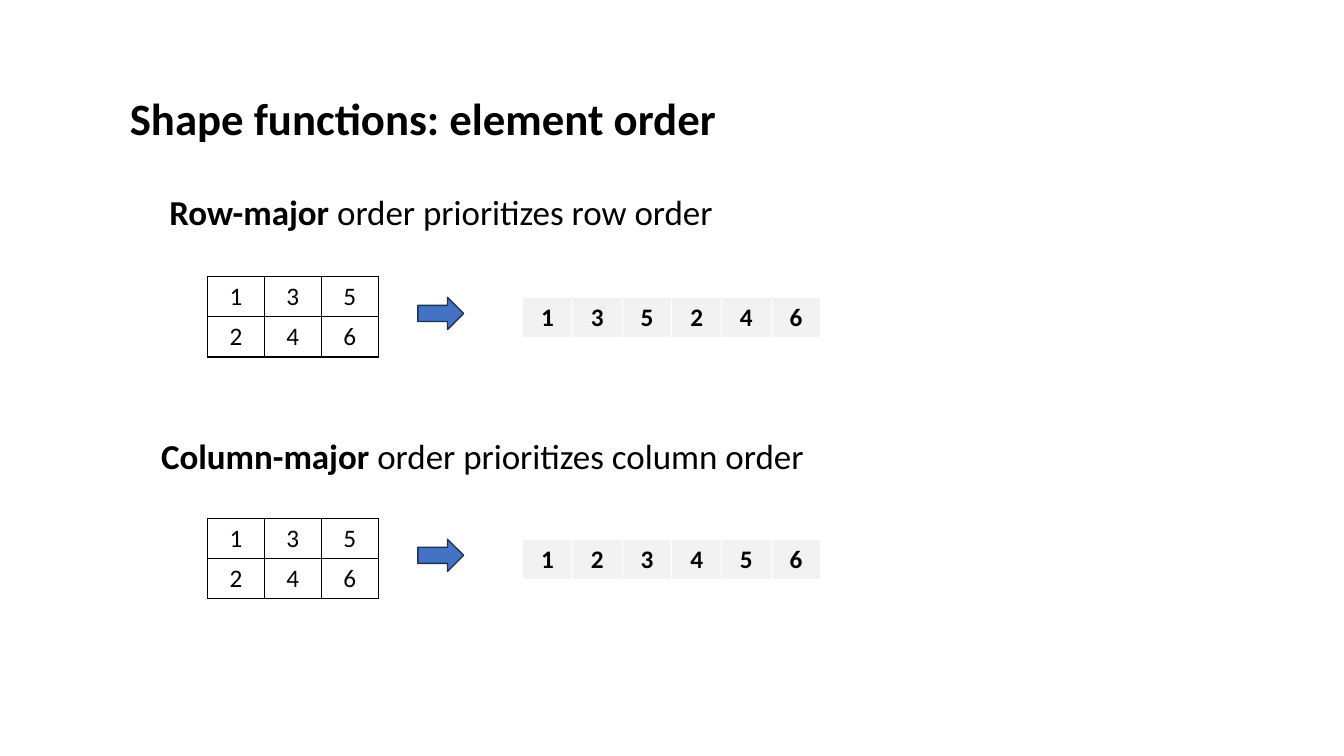
from pptx import Presentation
from pptx import util as u
from pptx.dml import color
from pptx.enum import shapes, text
from pptx.oxml import parse_xml
from pptx.oxml import ns

theme = {
    "font": "Calibri",
    "ink": "000000",
    "arrow": "4472C4",
    "arrow_line": "1E3256",
    "strip": "F2F2F2",
    "strip_line": "FFFFFF",
    "title_size": 32,
    "heading_size": 25,
    "cell_size": 18,
}


def add_span(para, words, size, bold=False):
    span = para.add_run()
    span.text = words
    span.font.name = theme["font"]
    span.font.size = u.Pt(size)
    span.font.bold = bold
    span.font.color.rgb = color.RGBColor.from_string(theme["ink"])


def add_grid(page, rows, left, top, col_width, row_height, line, bottom_width=1, fill=None, bold=False):
    columns = len(rows[0])
    frame = page.shapes.add_table(
        len(rows), columns, u.Pt(left), u.Pt(top),
        u.Pt(col_width * columns), u.Pt(row_height * len(rows)))
    table = frame.table
    table.first_row = False
    table.horz_banding = False
    for column in table.columns:
        column.width = u.Pt(col_width)
    for r, row in enumerate(rows):
        for c, value in enumerate(row):
            cell = table.cell(r, c)
            cell.vertical_anchor = text.MSO_ANCHOR.MIDDLE
            para = cell.text_frame.paragraphs[0]
            para.alignment = text.PP_ALIGN.CENTER
            add_span(para, str(value), theme["cell_size"], bold)
            properties = cell._tc.get_or_add_tcPr()
            for side, width in (("L", 1), ("R", 1), ("T", 1), ("B", bottom_width)):
                properties.append(parse_xml(
                    f'<a:ln{side} {ns.nsdecls("a")} w="{u.Pt(width)}"><a:solidFill>'
                    f'<a:srgbClr val="{line}"/></a:solidFill></a:ln{side}>'))
            if fill:
                cell.fill.solid()
                cell.fill.fore_color.rgb = color.RGBColor.from_string(fill)
            else:
                cell.fill.background()


deck = Presentation()
deck.slide_width, deck.slide_height = u.Pt(960), u.Pt(540)
page = deck.slides.add_slide(deck.slide_layouts[6])

matrix = [[1, 3, 5], [2, 4, 6]]
row_order = [value for row in matrix for value in row]
column_order = [value for column in zip(*matrix) for value in column]

text_lines = [
    (85.7, 64.8, 748, 43.2, 7.2, theme["title_size"], [("Shape functions: element order", True)]),
    (108, 132.5, 480, 37.5, 13, theme["heading_size"],
     [("Row-major", True), (" order prioritizes row order", False)]),
    (108, 306.7, 480, 37.5, 7.2, theme["heading_size"],
     [("Column-major", True), (" order prioritizes column order", False)]),
]
for left, top, width, height, inset, size, spans in text_lines:
    box = page.shapes.add_textbox(u.Pt(left), u.Pt(top), u.Pt(width), u.Pt(height))
    frame = box.text_frame
    frame.word_wrap = True
    frame.margin_left = u.Pt(inset)
    frame.vertical_anchor = text.MSO_ANCHOR.MIDDLE
    para = frame.paragraphs[0]
    if size == theme["title_size"]:
        para.line_spacing = 0.9
    for words, bold in spans:
        add_span(para, words, size, bold)

example_step = 172.8
for index, order in enumerate((row_order, column_order)):
    offset = index * example_step
    add_grid(page, matrix, 148.3, 197.3 + offset, 40.6, 28.8, theme["ink"])

    arrow = page.shapes.add_shape(
        shapes.MSO_SHAPE.RIGHT_ARROW, u.Pt(298.5), u.Pt(212.4 + offset), u.Pt(32.7), u.Pt(23))
    arrow.shadow.inherit = False
    arrow.fill.solid()
    arrow.fill.fore_color.rgb = color.RGBColor.from_string(theme["arrow"])
    arrow.line.color.rgb = color.RGBColor.from_string(theme["arrow_line"])
    arrow.line.width = u.Pt(1)

    add_grid(page, [order], 373.4, 212.2 + offset, 35.5, 30, theme["strip_line"],
             bottom_width=3, fill=theme["strip"], bold=True)

deck.save("out.pptx")
